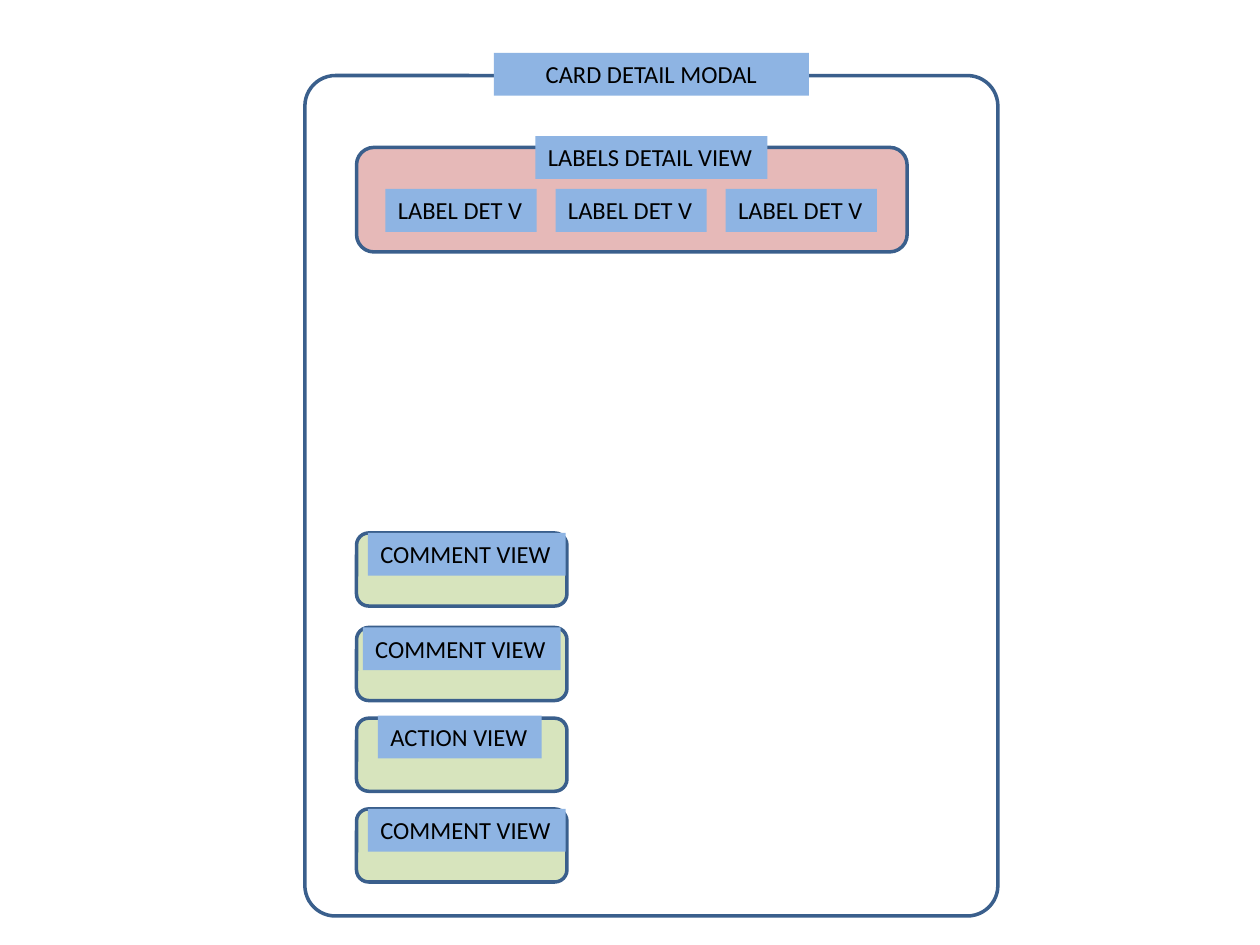
from pptx import Presentation
from pptx.dml.color import RGBColor
from pptx.enum.shapes import MSO_SHAPE
from pptx.enum.text import MSO_AUTO_SIZE, PP_ALIGN
from pptx.util import Inches, Pt

ROUNDED = MSO_SHAPE.ROUNDED_RECTANGLE
FIT_SHAPE = MSO_AUTO_SIZE.SHAPE_TO_FIT_TEXT
LEFT, CENTER = PP_ALIGN.LEFT, PP_ALIGN.CENTER

BORDER, TAG_FILL, LABELS_FILL, ACTIVITY_FILL = "3A5F8C", "8EB4E3", "E6B9B8", "D7E4BD"
TAG_HEIGHT = 0.34

MODAL = (2.42, 0.6, 5.5, 6.67)
LABELS_PANEL = (2.83, 1.17, 4.37, 0.83)
LABELS = ["LABEL DET V"] * 3
LABEL_LEFT, LABEL_TOP, LABEL_WIDTH, LABEL_STEP = 3.06, 1.5, 1.2, 1.35

ACTIVITY_LEFT, ACTIVITY_WIDTH, ACTIVITY_HEIGHT = 2.83, 1.67, 0.58
# text, panel top, tag left, tag top, tag width
ACTIVITIES = [
    ("COMMENT VIEW", 4.23, 2.92, 4.23, 1.57),
    ("COMMENT VIEW", 4.98, 2.88, 4.98, 1.57),
    ("ACTION VIEW", 5.7, 3, 5.68, 1.3),
    ("COMMENT VIEW", 6.42, 2.92, 6.42, 1.57),
]


def color(hex_value):
    return RGBColor.from_string(hex_value)


def add_panel(page, bounds, fill=None, corner=0.1667):
    panel = page.shapes.add_shape(ROUNDED, *map(Inches, bounds))
    panel.shadow.inherit = False
    panel.adjustments[0] = corner
    panel.line.color.rgb = color(BORDER)
    panel.line.width = Pt(2)
    if fill:
        panel.fill.solid()
        panel.fill.fore_color.rgb = color(fill)
    else:
        panel.fill.background()


def add_tag(page, text, left, top, width, align=LEFT, wrap=False):
    box = page.shapes.add_textbox(*map(Inches, (left, top, width, TAG_HEIGHT)))
    box.fill.solid()
    box.fill.fore_color.rgb = color(TAG_FILL)
    frame = box.text_frame
    frame.word_wrap = wrap
    frame.auto_size = FIT_SHAPE
    para = frame.paragraphs[0]
    para.alignment = align
    span = para.add_run()
    span.text = text
    span.font.name = "Calibri"
    span.font.size = Pt(14)
    span.font.color.rgb = color("000000")


def main():
    deck = Presentation()
    deck.slide_width, deck.slide_height = Inches(10), Inches(7.5)
    page = deck.slides.add_slide(deck.slide_layouts[6])

    add_panel(page, MODAL, corner=0.044)
    add_tag(page, "CARD DETAIL MODAL", 3.92, 0.42, 2.5, align=CENTER, wrap=True)

    add_panel(page, LABELS_PANEL, LABELS_FILL)
    add_tag(page, "LABELS DETAIL VIEW", 4.25, 1.08, 1.84)
    for column, text in enumerate(LABELS):
        add_tag(page, text, LABEL_LEFT + column * LABEL_STEP, LABEL_TOP, LABEL_WIDTH)

    for text, panel_top, tag_left, tag_top, tag_width in ACTIVITIES:
        bounds = (ACTIVITY_LEFT, panel_top, ACTIVITY_WIDTH, ACTIVITY_HEIGHT)
        add_panel(page, bounds, ACTIVITY_FILL)
        add_tag(page, text, tag_left, tag_top, tag_width)

    deck.save("out.pptx")


if __name__ == "__main__":
    main()
